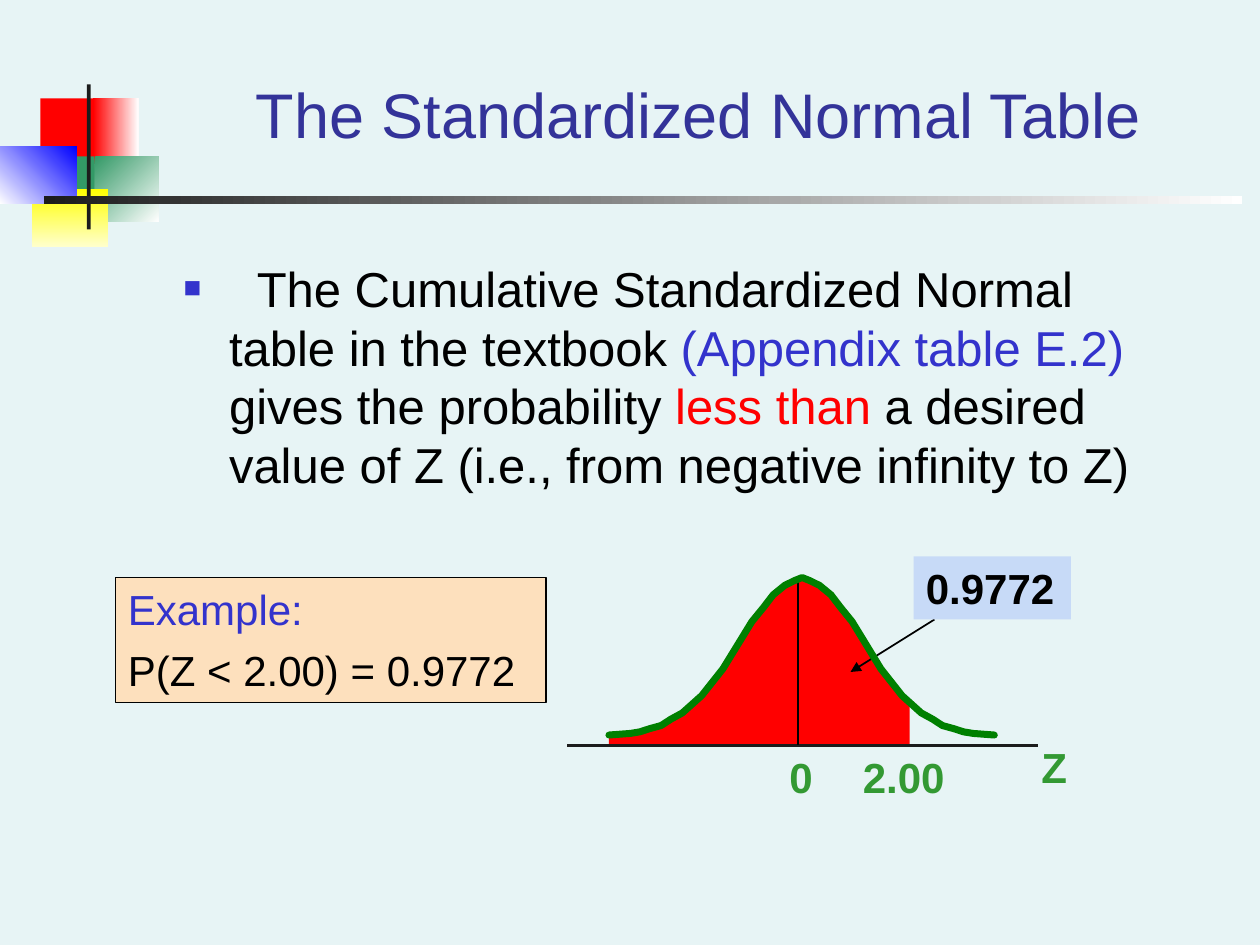
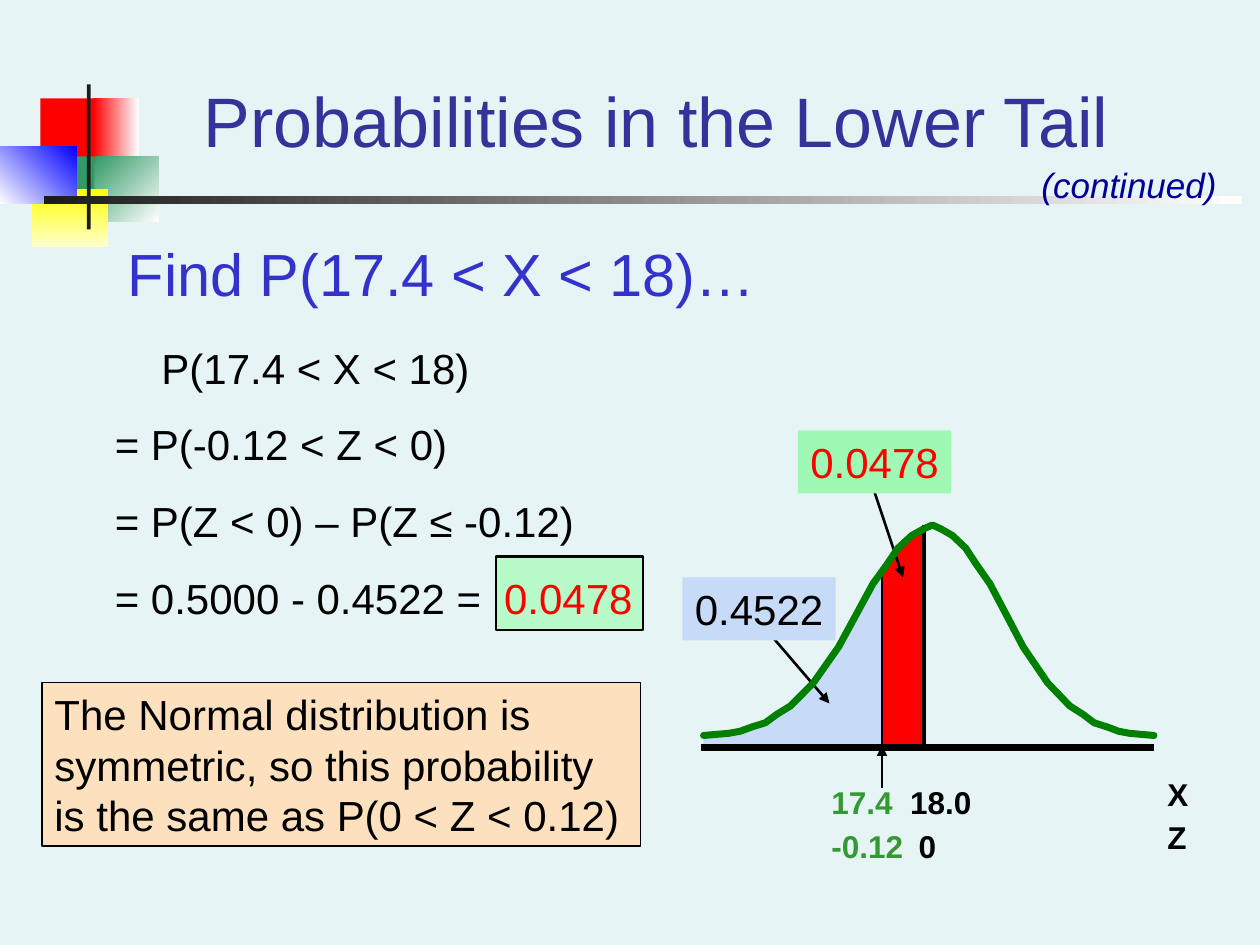
"""Build two slides about the standardized normal table and lower tail probabilities."""
import lxml.etree
import pptx
import pptx.dml.color
import pptx.enum.shapes
import pptx.enum.text
import pptx.oxml.ns
import pptx.util

INDIGO, BLUE, GREEN, BLACK, RED = "333399", "3333CC", "339933", "000000", "FF0000"
CHARCOAL, CURVE, SKY, PEACH = "1C1C1C", "008000", "C7DAF7", "FDE0BD"
RECTANGLE = pptx.enum.shapes.MSO_SHAPE.RECTANGLE
STRAIGHT = pptx.enum.shapes.MSO_CONNECTOR.STRAIGHT
LEFT, CENTER = pptx.enum.text.PP_ALIGN.LEFT, pptx.enum.text.PP_ALIGN.CENTER
TOP, BOTTOM = pptx.enum.text.MSO_ANCHOR.TOP, pptx.enum.text.MSO_ANCHOR.BOTTOM
qn = pptx.oxml.ns.qn

deck = pptx.Presentation()
deck.slide_width = pptx.util.Inches(10)
deck.slide_height = pptx.util.Inches(7.5)
CELL = deck.slide_width // 120


def paint(fill, color):
    """Give a fill one hex colour, or none."""
    if color:
        fill.solid()
        fill.fore_color.rgb = pptx.dml.color.RGBColor.from_string(color)
    else:
        fill.background()


def write(page, place, size, paragraphs, bold=False, italic=False, align=LEFT,
          anchor=TOP, gap=0, fill=None, border=0, wrap=True):
    """Add a box, placed in grid cells, whose paragraphs are lists of (text, colour)."""
    area = [round(cells * CELL) for cells in place]
    if fill:
        box = page.shapes.add_shape(RECTANGLE, *area)
        box.shadow.inherit = False
        paint(box.fill, fill)
        paint(box.line.fill, BLACK if border else None)
        if border:
            box.line.width = pptx.util.Pt(border)
    else:
        box = page.shapes.add_textbox(*area)
    frame = box.text_frame
    frame.word_wrap = wrap
    frame.vertical_anchor = anchor
    for number, spans in enumerate(paragraphs):
        para = frame.add_paragraph() if number else frame.paragraphs[0]
        para.alignment = align
        para.space_before = pptx.util.Pt(gap if number else 0)
        for text, color in spans:
            span = para.add_run()
            span.text = text
            span.font.name = "Arial"
            span.font.size = pptx.util.Pt(size)
            span.font.bold = bold
            span.font.italic = italic
            paint(span.font.fill, color)
    return box


paint(deck.slide_master.background.fill, "E7F4F5")
table_page, tail_page = [deck.slides.add_slide(deck.slide_layouts[6]) for _ in range(2)]

ornaments = [
    ((3.84, 9.36, 5.76, 6.24), RED, None, 0),
    ((8.88, 9.36, 4.32, 6.24), RED, "FFFFFF", 0),
    ((9, 14.88, 6.12, 6.24), "339966", "FFFFFF", 315),
    ((5.16, 14.88, 3.84, 6.24), "339966", None, 0),
    ((3, 18, 7.32, 5.52), "FFFF00", "FFFFCC", 270),
    ((0, 13.92, 7.32, 5.52), "FFFFFF", "0000FF", 45),
    ((8.28, 8.04, 0.36, 13.8), CHARCOAL, None, 0),
    ((4.2, 18.72, 114.12, 0.72), CHARCOAL, "FFFFFF", 0),
]
for page in deck.slides:
    for place, color, fade, angle in ornaments:
        block = page.shapes.add_shape(RECTANGLE, *[round(cells * CELL) for cells in place])
        block.shadow.inherit = False
        block.line.fill.background()
        if fade:
            block.fill.gradient()
            block.fill.gradient_angle = angle
            for stop, shade in zip(block.fill.gradient_stops, (color, fade)):
                stop.color.rgb = pptx.dml.color.RGBColor.from_string(shade)
        else:
            paint(block.fill, color)

bell_across = [0, 0.11, 0.16, 0.21, 0.27, 0.32, 0.38, 0.48, 0.59, 0.69, 0.74, 0.8, 0.85, 0.91, 0.96, 1]
bell_up = [0, 0.01, 0.02, 0.04, 0.06, 0.1, 0.14, 0.25, 0.42, 0.62, 0.72, 0.81, 0.89, 0.95, 0.98, 1]
bells = [
    (table_page, (58, 76.4, 94.7), (70, 55), [(58, 86.64, RED)]),
    (tail_page, (67, 88.8, 109.9), (70.05, 50), [(67, 84, SKY), (84, 88, RED)]),
]
lines = [
    (table_page, (54, 71), (98.9, 71), CHARCOAL, 2, False),
    (table_page, (76, 55), (76, 71), BLACK, 1, False),
    (table_page, (89, 59), (81, 64), BLACK, 1, True),
    (tail_page, (73, 60), (79, 67), BLACK, 1.5, True),
    (tail_page, (83, 46), (86, 55), BLACK, 1.5, True),
    (tail_page, (88, 50), (88, 71), BLACK, 2.5, False),
    (tail_page, (84, 54), (84, 71), BLACK, 1, False),
    (tail_page, (66.8, 71.16), (109.9, 71.16), BLACK, 4, False),
    (tail_page, (84, 75), (84, 71), BLACK, 1, True),
]
for bell_page, (start, peak, finish), (foot, top), areas in bells:
    rising = [(start + (peak - start) * x, foot + (top - foot) * y)
              for x, y in zip(bell_across, bell_up)]
    falling = [(finish + (peak - finish) * x, foot + (top - foot) * y)
               for x, y in zip(bell_across, bell_up)]
    curve = rising + falling[-2::-1]
    outlines = []
    for left, right, color in areas:
        edge = [point for point in curve if left < point[0] < right]
        for limit in (left, right):
            for (x1, y1), (x2, y2) in zip(curve, curve[1:]):
                if x1 <= limit < x2:
                    edge.append((limit, y1 + (y2 - y1) * (limit - x1) / (x2 - x1)))
        outlines.append((sorted(edge) + [(right, 71), (left, 71)], color))
    outlines.append((curve, None))
    for points, color in outlines:
        if not color:
            for page, begin, end, ink, width, arrow in lines:
                if page is bell_page:
                    line = page.shapes.add_connector(
                        STRAIGHT, *[round(cells * CELL) for cells in begin + end])
                    paint(line.line.fill, ink)
                    line.line.width = pptx.util.Pt(width)
                    if arrow:
                        stroke = line.element.spPr.find(qn("a:ln"))
                        lxml.etree.SubElement(stroke, qn("a:tailEnd"), type="triangle")
                    lxml.etree.SubElement(line.element.spPr, qn("a:effectLst"))
        path_points = [(round(x * CELL), round(y * CELL)) for x, y in points]
        builder = bell_page.shapes.build_freeform(*path_points[0], scale=1.0)
        builder.add_line_segments(path_points[1:], close=bool(color))
        outline = builder.convert_to_shape()
        outline.shadow.inherit = False
        paint(outline.fill, color)
        paint(outline.line.fill, None if color else CURVE)
        if not color:
            outline.line.width = pptx.util.Pt(4)
            outline.element.spPr.find(qn("a:ln")).set("cap", "rnd")

write(table_page, (20, 4, 93, 11), 36, [[("The Standardized Normal Table", INDIGO)]],
      align=CENTER, anchor=BOTTOM)
body = write(table_page, (15, 24, 97, 28.7), 28, [[
    ("\tThe Cumulative Standardized Normal table in the textbook ", BLACK),
    ("(Appendix table E.2)", BLUE), (" gives the probability ", BLACK), ("less than", RED),
    (" a desired value of Z (i.e., from negative infinity to Z)", BLACK)]])
write(table_page, (98, 70, 6, 6), 24, [[("Z", GREEN)]], bold=True)
write(table_page, (74, 71, 6, 6), 24, [[("0", GREEN)]], bold=True)
write(table_page, (81, 71, 13, 6), 24, [[("2.00", GREEN)]], bold=True)
write(table_page, (87, 53, 15, 6), 24, [[("0.9772", BLACK)]], bold=True, fill=SKY)
write(table_page, (11, 55, 41, 11.9), 24,
      [[("Example:", BLUE)], [("P(Z < 2.00) = 0.9772", BLACK)]], gap=6, fill=PEACH, border=0.75)

write(tail_page, (14, 3, 97, 13), 40, [[("Probabilities in the Lower Tail", INDIGO)]],
      align=CENTER, anchor=BOTTOM)
write(tail_page, (98, 15, 20, 5.3), 20, [[("(continued)", "000099")]], italic=True)
write(tail_page, (11, 22, 106, 8), 34, [[("Find P(17.4 < X < 18)…", BLUE)]])
write(tail_page, (47.25, 53, 14, 7), 24, [], fill="B8FAC8", border=1.5)
steps = write(tail_page, (9.75, 32, 52, 28), 24, [
    [("P(17.4 < X < 18)", BLACK)], [("= P(-0.12 < Z < 0)", BLACK)],
    [("= P(Z < 0) – P(Z ≤ -0.12)", BLACK)],
    [("= 0.5000 - 0.4522 =\t", BLACK), ("0.0478", RED)]], gap=15)
write(tail_page, (76, 41, 14.6, 6), 24, [[("0.0478", RED)]], align=CENTER, fill="A0F8B5", wrap=False)
write(tail_page, (65, 55, 14.6, 6), 24, [[("0.4522", BLACK)]], align=CENTER, fill=SKY, wrap=False)
write(tail_page, (4, 65, 57, 15.6), 24, [[(
    "The Normal distribution is symmetric, so this probability is the same as P(0 < Z < 0.12)",
    BLACK)]], fill=PEACH, border=1)
axis_labels = [("17.4", GREEN, 78, 74), ("18.0", BLACK, 85.5, 74), ("X", BLACK, 110, 73.2),
               ("-0.12", GREEN, 78, 78.2), ("0", BLACK, 86.3, 78.2), ("Z", BLACK, 110, 77.3)]
for label, color, column, row in axis_labels:
    write(tail_page, (column, row, 10, 4.8), 18, [[(label, color)]], bold=True)

bullet = body.text_frame.paragraphs[0]._p.get_or_add_pPr()
bullet.set("marL", str(pptx.util.Inches(0.47)))
bullet.set("indent", str(-pptx.util.Inches(0.36)))
bullet_color = lxml.etree.SubElement(bullet, qn("a:buClr"))
lxml.etree.SubElement(bullet_color, qn("a:srgbClr"), val=BLUE)
lxml.etree.SubElement(bullet, qn("a:buSzPct"), val="60000")
lxml.etree.SubElement(bullet, qn("a:buFont"), typeface="Arial")
lxml.etree.SubElement(bullet, qn("a:buChar"), char="■")
first_step, last_step = steps.text_frame.paragraphs[0], steps.text_frame.paragraphs[-1]
first_step._p.get_or_add_pPr().set("marL", str(pptx.util.Inches(0.37)))
for properties, stops in [(bullet, (0.21, 0.69)), (last_step._p.get_or_add_pPr(), (3.09,))]:
    tabs = lxml.etree.SubElement(properties, qn("a:tabLst"))
    for stop in stops:
        lxml.etree.SubElement(tabs, qn("a:tab"), pos=str(pptx.util.Inches(stop)), algn="l")

deck.save("out.pptx")
